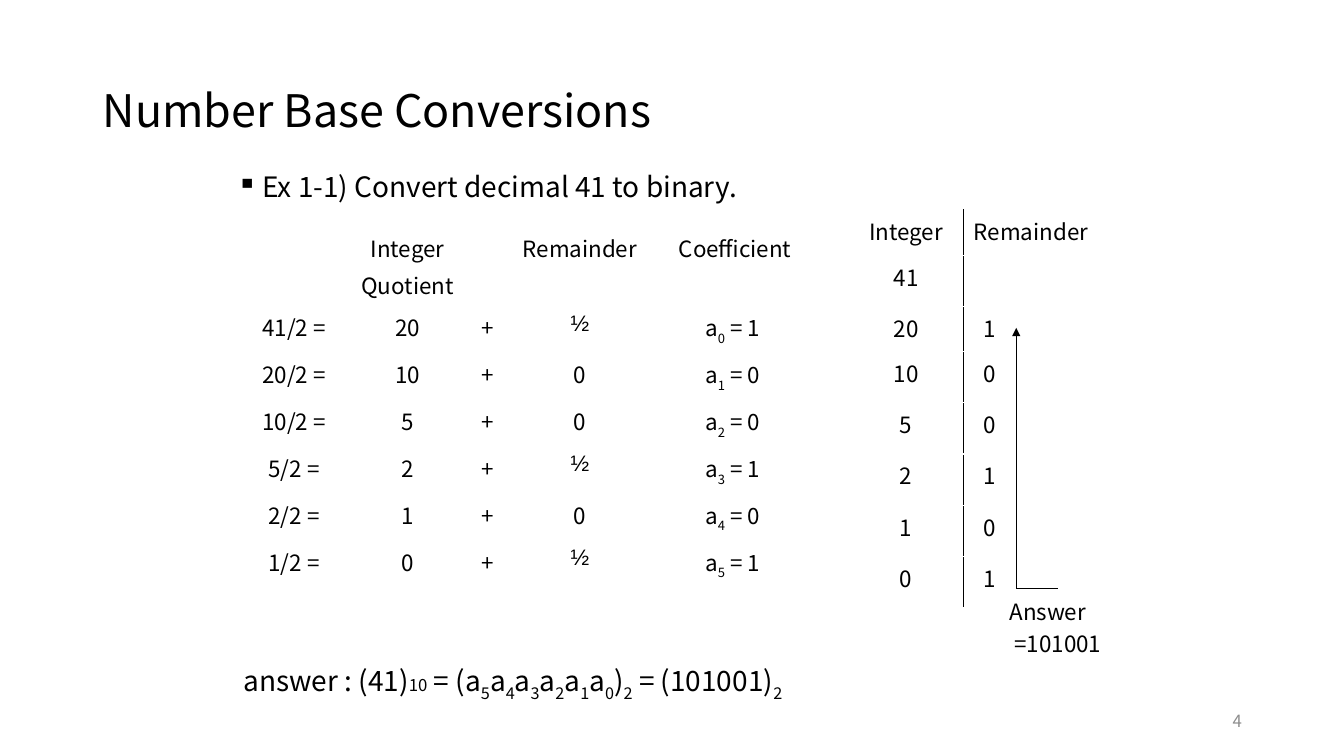
from dataclasses import dataclass

from lxml import etree
from pptx import Presentation
from pptx import util as u
from pptx.dml.color import RGBColor
from pptx.enum import shapes, text
from pptx.oxml import ns

Cm, Pt = u.Cm, u.Pt
Align, Anchor = text.PP_ALIGN, text.MSO_ANCHOR


@dataclass(frozen=True)
class Theme:
    font: str = "Noto Sans CJK KR"
    fraction_font: str = "Arial"
    ink: str = "000000"
    muted: str = "8C8C8C"
    title: float = 32
    body: float = 20
    cell: float = 16
    small: float = 12
    hairline: float = 0.75
    divider: float = 1


def apply(target, formats):
    for name, value in formats.items():
        setattr(target, name, value)


def add_xml(parent, tag, **attributes):
    return etree.SubElement(parent, ns.qn(tag), attributes)


class SlideBuilder:
    def __init__(self, slide, theme):
        self.slide, self.theme = slide, theme

    def run(self, paragraph, words, size, color, font, subscript=False):
        if not words:
            return
        run = paragraph.add_run()
        run.text = words
        apply(run.font, {"name": font, "size": Pt(size)})
        run.font.color.rgb = RGBColor.from_string(color)
        if subscript:
            run._r.get_or_add_rPr().set("baseline", "-30000")

    def words(self, paragraph, words, size, color=None, font=None):
        style = (size, color or self.theme.ink, font or self.theme.font)
        plain, *marked = words.split("_")
        self.run(paragraph, plain, *style)
        for part in marked:
            self.run(paragraph, part[0], *style, subscript=True)
            self.run(paragraph, part[1:], *style)

    def text(self, box, words, size, color=None, formats=None, anchor=Anchor.TOP):
        frame = self.slide.shapes.add_textbox(*map(Cm, box)).text_frame
        apply(frame, {"word_wrap": True, "vertical_anchor": anchor})
        paragraph = frame.paragraphs[0]
        apply(paragraph, formats or {})
        self.words(paragraph, words, size, color)
        return frame

    def bullet(self, paragraph, mark, indent):
        properties = paragraph._p.get_or_add_pPr()
        properties.set("marL", str(Cm(indent)))
        properties.set("indent", str(-Cm(indent)))
        add_xml(properties, "a:buChar", char=mark)

    def cell(self, cell, words, formats):
        cell.fill.background()
        for index, line in enumerate(words.split("\n")):
            frame = cell.text_frame
            paragraph = frame.add_paragraph() if index else frame.paragraphs[0]
            apply(paragraph, formats)
            if index:
                paragraph.space_before = Pt(3.2)
            font = self.theme.fraction_font if line == "½" else None
            self.words(paragraph, line, self.theme.cell, font=font)

    def table(self, corner, widths, heights, rows, alignments):
        size = sum(widths), sum(heights)
        table = self.slide.shapes.add_table(
            len(rows), len(widths), *map(Cm, corner + size)).table
        apply(table, {"first_row": False, "horz_banding": False})
        for column, width in zip(table.columns, widths):
            column.width = Cm(width)
        for row, height, line in zip(table.rows, heights, rows):
            row.height = Cm(height)
            for cell, words, alignment in zip(row.cells, line, alignments):
                self.cell(cell, words, {"alignment": alignment})
        return table

    def border(self, cell, side):
        properties = cell._tc.get_or_add_tcPr()
        edge = add_xml(properties, side, w=str(Pt(self.theme.divider)))
        add_xml(add_xml(edge, "a:solidFill"), "a:srgbClr", val=self.theme.ink)
        properties.insert(0, edge)

    def line(self, start, end, arrow=False):
        line = self.slide.shapes.add_connector(
            shapes.MSO_CONNECTOR.STRAIGHT, *map(Cm, start + end))
        line.line.width = Pt(self.theme.hairline)
        line.line.color.rgb = RGBColor.from_string(self.theme.ink)
        properties = line._element.spPr
        if arrow:
            add_xml(properties.find(ns.qn("a:ln")), "a:tailEnd", type="triangle")
        add_xml(properties, "a:effectLst")


def main():
    deck = Presentation()
    apply(deck, {"slide_width": Cm(33.87), "slide_height": Cm(19.05)})
    theme = Theme()
    page = SlideBuilder(deck.slides.add_slide(deck.slide_layouts[6]), theme)
    tight = {"line_spacing": 0.9}

    page.text((23.93, 17.65, 7.62, 1.02), "4", theme.small, theme.muted,
              {"alignment": Align.RIGHT}, Anchor.MIDDLE)
    page.text((2.34, 1.02, 29.21, 3.68), "Number Base Conversions", theme.title,
              formats=tight, anchor=Anchor.MIDDLE)
    example = page.text((5.72, 4.24, 22.22, 1.2),
                        "Ex 1-1) Convert decimal 41 to binary.", theme.body, formats=tight)
    page.bullet(example.paragraphs[0], "▪", 0.64)

    answer = page.text((5.89, 16.59, 18, 1.2), "answer : (41)", theme.body,
                       formats=tight).paragraphs[0]
    page.words(answer, "10", theme.small)
    page.words(answer, " = (a_5a_4a_3a_2a_1a_0)_2 = (101001)_2", theme.body)

    divisions = [["", "Integer\nQuotient", "", "Remainder", "Coefficient"]]
    ladder = [["Integer", "Remainder"], ["41", ""]]
    number = 41
    for power in range(6):
        quotient, bit = divmod(number, 2)
        divisions.append([f"{number}/2 =", str(quotient), "+", "½" if bit else "0",
                          f"a_{power} = {bit} "])
        ladder.append([str(quotient), str(bit)])
        number = quotient

    page.table((6.14, 5.72), (2.54, 3.18, 0.85, 3.81, 4.01), (1.99,) + (1.18,) * 6,
               divisions, [Align.CENTER] * 5)
    remainders = page.table((21.38, 5.29), (2.91, 3.84), (1.14, 1.29, 1.14) + (1.29,) * 5,
                            ladder, [Align.CENTER, Align.LEFT])
    for index, row in enumerate(remainders.rows):
        integer, remainder = row.cells
        page.border(integer, "a:lnR")
        page.border(remainder, "a:lnL")
        if index:
            remainder.margin_left = Cm(0.5)

    corner = (25.61, 14.82)
    page.line(corner, (26.67, 14.82))
    result = page.text((25.19, 14.94, 3.81, 1.96), "Answer", theme.cell)
    value = result.add_paragraph()
    value.space_before = Pt(4)
    value._p.get_or_add_pPr().set("marL", str(Cm(0.13)))
    page.words(value, "=101001", theme.cell)
    page.line(corner, (25.61, 8.26), arrow=True)

    deck.save("out.pptx")


if __name__ == "__main__":
    main()
